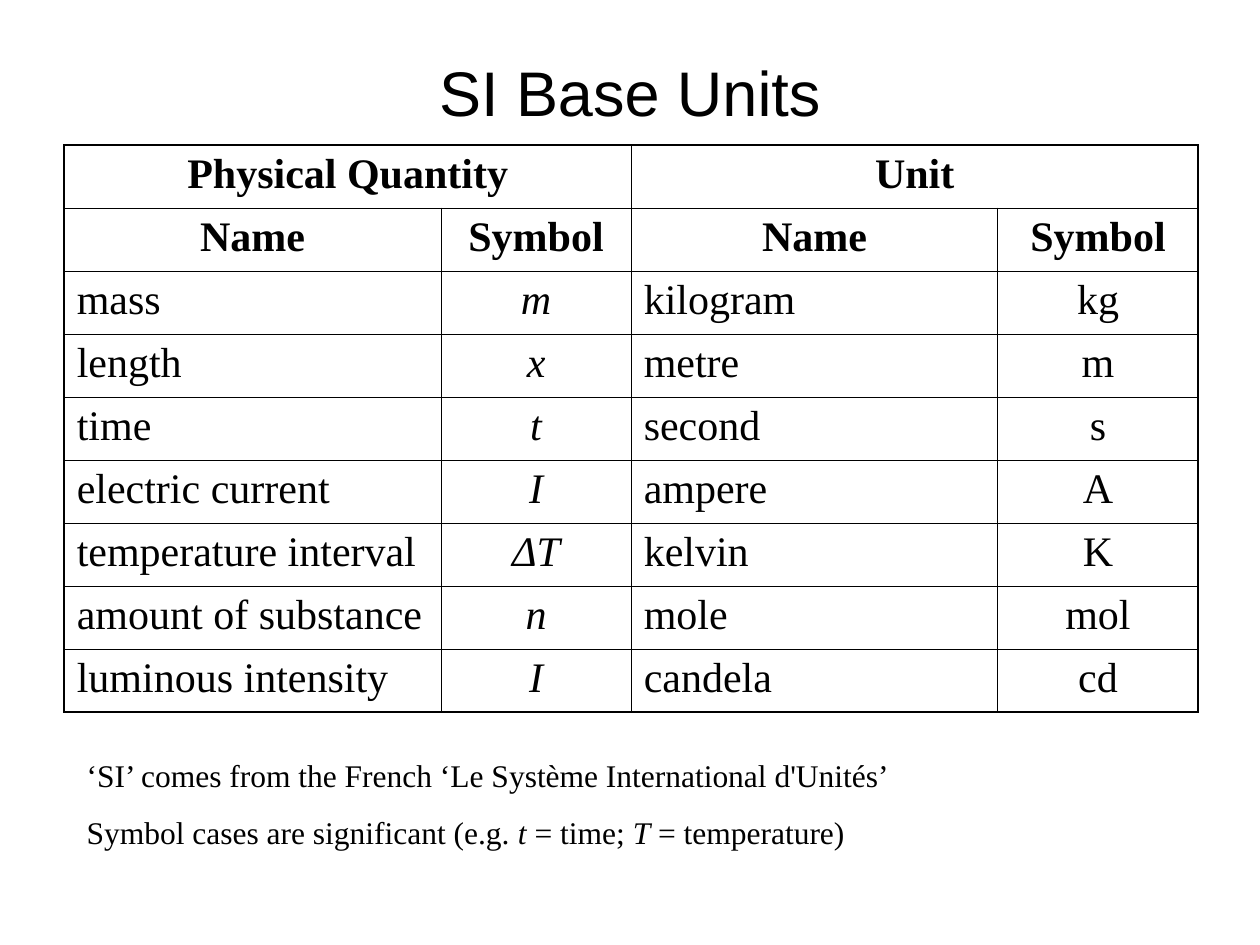
"""Build a slide that tabulates the SI base units."""
from lxml.etree import SubElement
from pptx import Presentation
from pptx.dml.color import RGBColor
from pptx.enum.text import MSO_ANCHOR, MSO_AUTO_SIZE, PP_ALIGN
from pptx.oxml.ns import qn
from pptx.util import Inches, Pt

BLACK = RGBColor(0, 0, 0)
HEADINGS = [
    ("Physical Quantity", "", "Unit", ""),
    ("Name", "Symbol", "Name", "Symbol"),
]
UNITS = [
    ("mass", "m", "kilogram", "kg"),
    ("length", "x", "metre", "m"),
    ("time", "t", "second", "s"),
    ("electric current", "I", "ampere", "A"),
    ("temperature interval", "ΔT", "kelvin", "K"),
    ("amount of substance", "n", "mole", "mol"),
    ("luminous intensity", "I", "candela", "cd"),
]
NOTES = [
    [("‘SI’ comes from the French ‘Le Système International d'Unités’", False)],
    [
        ("Symbol cases are significant (e.g. ", False),
        ("t", True),
        (" = time; ", False),
        ("T", True),
        (" = temperature)", False),
    ],
]
COLUMN_WIDTHS = (2.99, 1.51, 2.91, 1.59)
ROW_HEIGHT = 0.5
QUANTITY_SYMBOL_COLUMN = 1
NAME_COLUMNS = (0, 2)


class UnitSlide:
    title_font = "Arial"
    text_font = "Times New Roman"
    inner_line = Pt(0.45)
    outer_line = Pt(1.08)

    def __init__(self, deck):
        self.slide = deck.slides.add_slide(deck.slide_layouts[5])

    def run(self, paragraph, text, font, size, bold=False, italic=False):
        run = paragraph.add_run()
        run.text = text
        run.font.name = font
        run.font.size = Pt(size)
        run.font.bold = bold
        run.font.italic = italic
        run.font.color.rgb = BLACK

    def title(self, text, left, top, width, height):
        title = self.slide.shapes.title
        title.left, title.top = Inches(left), Inches(top)
        title.width, title.height = Inches(width), Inches(height)
        frame = title.text_frame
        frame.auto_size = MSO_AUTO_SIZE.NONE
        frame.vertical_anchor = MSO_ANCHOR.MIDDLE
        frame.paragraphs[0].alignment = PP_ALIGN.CENTER
        self.run(frame.paragraphs[0], text, self.title_font, 36)

    def borders(self, cell, outer_edges):
        properties = cell._tc.get_or_add_tcPr()
        for side, outer in zip("LRTB", outer_edges):
            width = self.outer_line if outer else self.inner_line
            line = SubElement(properties, qn(f"a:ln{side}"), w=str(int(width)))
            fill = SubElement(line, qn("a:solidFill"))
            SubElement(fill, qn("a:srgbClr"), val=str(BLACK))
        cell.fill.background()

    def table(self, headings, units, left, top):
        rows = headings + units
        grid = self.slide.shapes.add_table(
            len(rows), len(COLUMN_WIDTHS), Inches(left), Inches(top),
            Inches(sum(COLUMN_WIDTHS)), Inches(ROW_HEIGHT * len(rows)),
        ).table
        grid.first_row = grid.horz_banding = False
        for column, width in zip(grid.columns, COLUMN_WIDTHS):
            column.width = Inches(width)
        for name_column in NAME_COLUMNS:
            grid.cell(0, name_column).merge(grid.cell(0, name_column + 1))
        for r, row in enumerate(rows):
            heading = r < len(headings)
            for c, text in enumerate(row):
                cell = grid.cell(r, c)
                last_column = c + cell.span_width if cell.is_merge_origin else c + 1
                self.borders(cell, (
                    c == 0, last_column == len(row), r == 0, r == len(rows) - 1,
                ))
                if cell.is_spanned:
                    continue
                paragraph = cell.text_frame.paragraphs[0]
                paragraph.space_before = Pt(6)
                centred = heading or c not in NAME_COLUMNS
                paragraph.alignment = PP_ALIGN.CENTER if centred else PP_ALIGN.LEFT
                italic = not heading and c == QUANTITY_SYMBOL_COLUMN
                self.run(paragraph, text, self.text_font, 24, heading, italic)

    def notes(self, lines, left, top, width, height):
        frame = self.slide.shapes.add_textbox(
            Inches(left), Inches(top), Inches(width), Inches(height)
        ).text_frame
        frame.word_wrap = True
        frame.auto_size = MSO_AUTO_SIZE.SHAPE_TO_FIT_TEXT
        for i, line in enumerate(lines):
            paragraph = frame.add_paragraph() if i else frame.paragraphs[0]
            paragraph.space_before = Pt(11.2)
            for text, italic in line:
                self.run(paragraph, text, self.text_font, 18, italic=italic)


def main():
    deck = Presentation()
    deck.slide_width, deck.slide_height = Inches(10), Inches(7.5)
    page = UnitSlide(deck)
    page.title("SI Base Units", 0.5, 0.3, 9, 0.85)
    page.table(HEADINGS, UNITS, 0.51, 1.15)
    page.notes(NOTES, 0.59, 5.95, 8.66, 0.86)
    deck.save("out.pptx")


if __name__ == "__main__":
    main()
